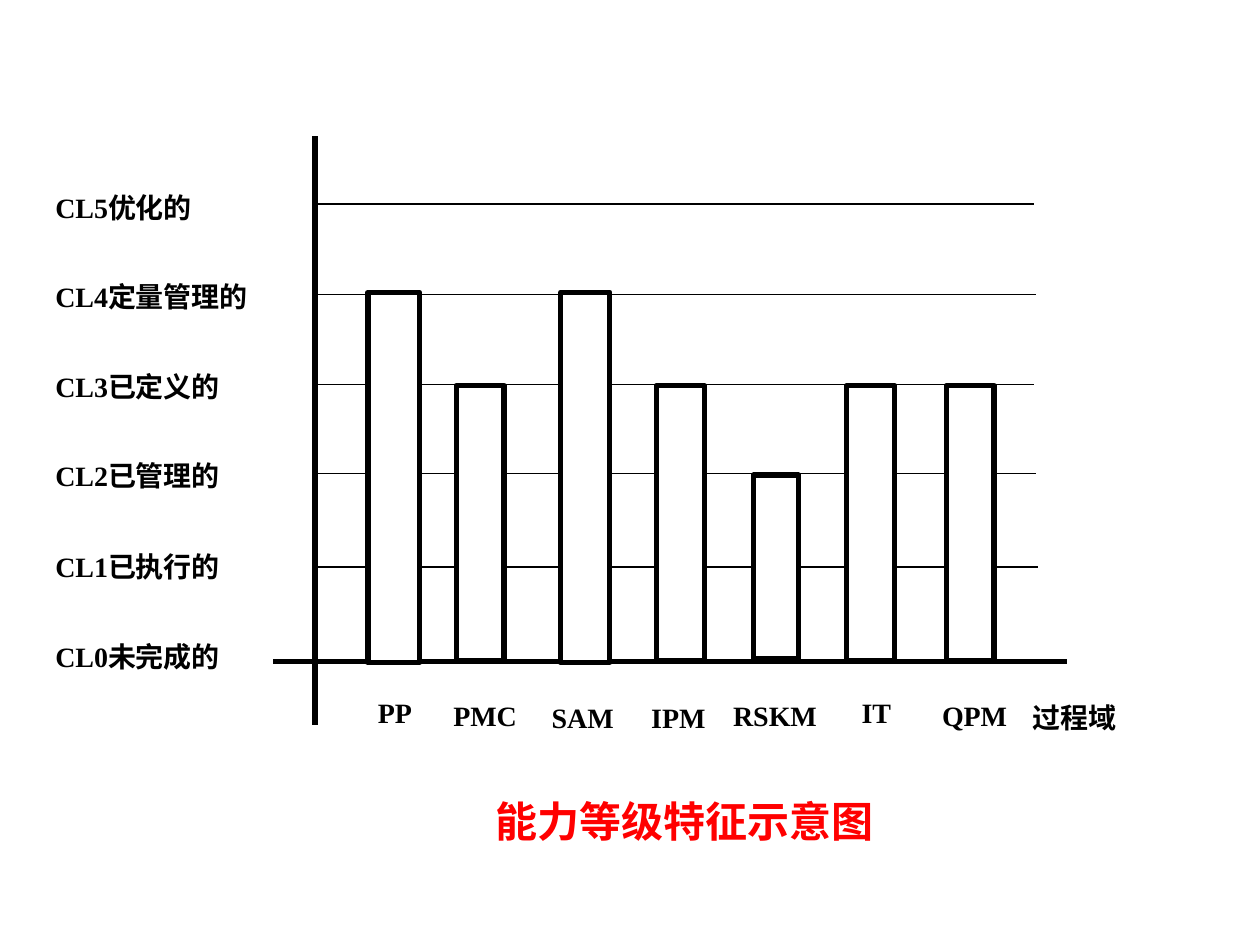
from pptx import Presentation
from pptx.dml.color import RGBColor
from pptx.enum.shapes import MSO_CONNECTOR as Conn, MSO_SHAPE as Shape
from pptx.enum.text import MSO_ANCHOR as Anchor, PP_ALIGN as Align
from pptx.oxml.ns import qn
from pptx.util import Pt
from lxml.etree import SubElement

PX = 9144  # 100 px to the inch
BLACK, WHITE, RED = "000000", "FFFFFF", "FF0000"

LEVELS = ["CL5优化的", "CL4定量管理的", "CL3已定义的",
          "CL2已管理的", "CL1已执行的", "CL0未完成的"]
# Height of each level line below the chart top, and its right end
LINES = {5: (54, 604), 4: (126, 605), 3: (197, 604), 2: (268, 605), 1: (342, 607)}
# Level, left, width and foot of each bar
BARS = [(4, 75, 41, 418), (3, 145, 38, 416), (4, 228, 39, 418), (3, 304, 38, 416),
        (2, 381, 36, 415), (3, 455, 38, 416), (3, 534, 38, 416)]
# Text, left, top, width and alignment of each label under the axis
NAMES = [("PP", 0, 0, 83, Align.CENTER), ("PMC", 78, 2, 83, Align.JUSTIFY),
         ("SAM", 156, 4, 83, Align.JUSTIFY), ("IPM", 235, 4, 78, Align.JUSTIFY),
         ("RSKM", 300, 2, 99, Align.JUSTIFY), ("IT", 382, 0, 83, Align.CENTER),
         ("QPM", 460, 2, 83, Align.CENTER), ("过程域", 538, 4, 107, Align.JUSTIFY)]


def px(*vals):
    return [v * PX for v in vals]


def tint(code):
    return RGBColor.from_string(code)


def add_text(slide, box, text, align, size=16, color=BLACK):
    frame = slide.shapes.add_textbox(*px(*box)).text_frame
    frame.word_wrap = True
    frame.vertical_anchor = Anchor.MIDDLE
    para = frame.paragraphs[0]
    para.alignment = align
    run = para.add_run()
    run.text = text
    font = run.font
    font.name, font.size, font.bold = "Times New Roman", Pt(size), True
    font.color.rgb = tint(color)


def add_line(slide, x1, y1, x2, y2, width):
    line = slide.shapes.add_connector(Conn.STRAIGHT, *px(x1, y1, x2, y2))
    line.line.color.rgb = tint(BLACK)
    line.line.width = Pt(width)
    SubElement(line._element.spPr, qn("a:effectLst"))


def add_bar(slide, box):
    bar = slide.shapes.add_shape(Shape.RECTANGLE, *px(*box))
    bar.shadow.inherit = False
    bar.fill.solid()
    bar.fill.fore_color.rgb = tint(WHITE)
    bar.line.color.rgb = tint(BLACK)
    bar.line.width = Pt(3)


def draw_levels(slide, box):
    left, top, width, height = box
    step = height / len(LEVELS)
    for i, text in enumerate(LEVELS):
        add_text(slide, (left, round(top + i * step), width, 71), text, Align.JUSTIFY)


def draw_chart(slide, box):
    left, top, width, height = box
    # Axes
    add_line(slide, left + 33, top, left + 33, top + height, 3)
    add_line(slide, left, top + 417, left + width, top + 417, 3)
    # Level lines
    for y, end in LINES.values():
        add_line(slide, left + 32, top + y, left + end, top + y, 0.75)
    # Bars
    for level, x, wide, foot in BARS:
        head = LINES[level][0] + (-2 if level == 4 else 1)
        add_bar(slide, (left + x, top + head, wide, foot - head))


def draw_names(slide, box):
    left, top, _, height = box
    for text, x, y, wide, align in NAMES:
        add_text(slide, (left + x, top + y, wide, height), text, align)


def main():
    deck = Presentation()
    deck.slide_width, deck.slide_height = px(1000, 750)
    slide = deck.slides.add_slide(deck.slide_layouts[6])
    draw_levels(slide, (34, 129, 191, 427))
    draw_chart(slide, (217, 108, 630, 467))
    draw_names(slide, (272, 530, 645, 71))
    # Title
    add_text(slide, (338, 611, 411, 81), "能力等级特征示意图", Align.CENTER, 24, RED)
    deck.save("out.pptx")


if __name__ == "__main__":
    main()
